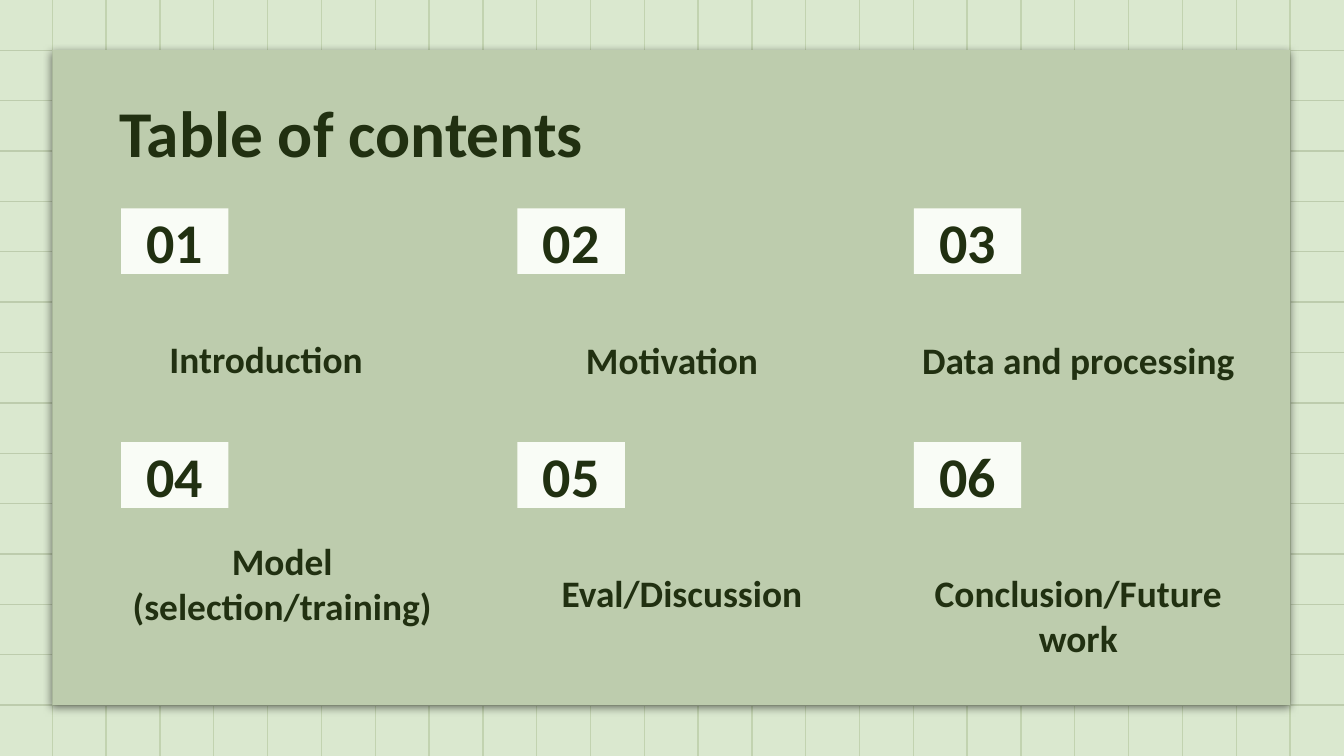
from dataclasses import dataclass

from lxml import etree
from pptx import Presentation
from pptx.dml.color import RGBColor
from pptx.enum.shapes import MSO_CONNECTOR, MSO_SHAPE
from pptx.enum.text import MSO_ANCHOR, PP_ALIGN
from pptx.oxml import parse_xml
from pptx.oxml.ns import nsdecls, qn
from pptx.util import Cm, Pt

STRAIGHT = MSO_CONNECTOR.STRAIGHT
RECTANGLE = MSO_SHAPE.RECTANGLE
ROUNDED = MSO_SHAPE.ROUNDED_RECTANGLE
TOP, MIDDLE = MSO_ANCHOR.TOP, MSO_ANCHOR.MIDDLE
LEFT, CENTER = PP_ALIGN.LEFT, PP_ALIGN.CENTER


@dataclass(frozen=True)
class Theme:
    background: str = "DAE8CF"
    column_line: str = "C2D3B0"
    row_line: str = "BDCCAD"
    panel: str = "BDCCAD"
    badge: str = "F9FCF6"
    ink: str = "213011"
    font: str = "Calibri"
    title_size: int = 35
    number_size: int = 30
    topic_size: int = 20
    line_width: float = 0.75


@dataclass(frozen=True)
class Area:
    """A rectangle in centimetres."""
    left: float
    top: float
    width: float
    height: float

    def lengths(self):
        return Cm(self.left), Cm(self.top), Cm(self.width), Cm(self.height)


@dataclass(frozen=True)
class Topic:
    text: str
    area: Area
    top_inset: float = 0.25
    bottom_inset: float = 0.25


THEME = Theme()
SLIDE_WIDTH, SLIDE_HEIGHT = 25.4, 14.29
PANEL = Area(0.99, 0.95, 23.39, 12.38)
GRID_COLUMNS, GRID_ROWS = 23, 13
ROW_OVERHANG = 0.06
TITLE = Area(2.01, 1.5, 21.41, 1.6)
BADGE = Area(2.29, 3.94, 2.03, 1.24)
BADGE_STEP_X, BADGE_STEP_Y = 7.49, 4.42
TOPICS_PER_ROW = 3
TOPICS = [
    Topic("Introduction", Area(1.83, 5.49, 6.4, 2.57)),
    Topic("Motivation", Area(9.5, 5.51, 6.4, 2.57)),
    Topic("Data and processing", Area(16.99, 5.51, 6.78, 2.57)),
    Topic("Model (selection/training)", Area(1.83, 9.73, 7.01, 2.57)),
    Topic("Eval/Discussion", Area(9.5, 9.91, 6.78, 2.57)),
    # Uneven insets set this topic half a line lower in its box
    Topic("Conclusion/Future work", Area(16.99, 9.91, 6.78, 2.57), 0.85, 0),
]


def color(value: str) -> RGBColor:
    return RGBColor.from_string(value)


def add_line(slide, x1: float, y1: float, x2: float, y2: float, tint: str) -> None:
    line = slide.shapes.add_connector(STRAIGHT, Cm(x1), Cm(y1), Cm(x2), Cm(y2))
    line.line.color.rgb = color(tint)
    line.line.width = Pt(THEME.line_width)
    etree.SubElement(line._element.spPr, qn("a:effectLst"))


def add_block(slide, kind: int, area: Area, fill: str):
    block = slide.shapes.add_shape(kind, *area.lengths())
    block.shadow.inherit = False
    block.fill.solid()
    block.fill.fore_color.rgb = color(fill)
    block.line.fill.background()
    return block


def write(shape, text: str, size: int, align=CENTER, anchor=MIDDLE,
          top_inset: float = 0.25, bottom_inset: float = 0.25) -> None:
    frame = shape.text_frame
    frame.text = text
    frame.word_wrap = True
    frame.vertical_anchor = anchor
    frame.margin_left = frame.margin_right = Cm(0.25)
    frame.margin_top, frame.margin_bottom = Cm(top_inset), Cm(bottom_inset)
    para = frame.paragraphs[0]
    para.alignment = align
    font = para.runs[0].font
    font.name, font.size, font.bold = THEME.font, Pt(size), True
    font.color.rgb = color(THEME.ink)


def add_grid(slide) -> None:
    for column in range(GRID_COLUMNS + 1):
        x = PANEL.left + column * PANEL.width / GRID_COLUMNS
        add_line(slide, x, 0, x, SLIDE_HEIGHT, THEME.column_line)
    for row in range(GRID_ROWS + 1):
        y = PANEL.top + row * PANEL.height / GRID_ROWS
        add_line(slide, -ROW_OVERHANG, y, SLIDE_WIDTH + ROW_OVERHANG, y, THEME.row_line)


def add_panel(slide) -> None:
    panel = add_block(slide, ROUNDED, PANEL, THEME.panel)
    panel.adjustments[0] = 0
    effects = panel._element.spPr.find(qn("a:effectLst"))
    effects.append(parse_xml(
        f'<a:outerShdw {nsdecls("a")} blurRad="{Pt(4.5)}" dist="{Pt(1.5)}" '
        'dir="5400000" algn="bl" rotWithShape="0">'
        '<a:srgbClr val="000000"><a:alpha val="50000"/></a:srgbClr></a:outerShdw>'))


def add_topic(slide, index: int, topic: Topic) -> None:
    row, column = divmod(index, TOPICS_PER_ROW)
    area = Area(BADGE.left + column * BADGE_STEP_X, BADGE.top + row * BADGE_STEP_Y,
                BADGE.width, BADGE.height)
    badge = add_block(slide, RECTANGLE, area, THEME.badge)
    write(badge, f"{index + 1:02d}", THEME.number_size)
    box = slide.shapes.add_textbox(*topic.area.lengths())
    write(box, topic.text, THEME.topic_size,
          top_inset=topic.top_inset, bottom_inset=topic.bottom_inset)


def main() -> None:
    deck = Presentation()
    deck.slide_width, deck.slide_height = Cm(SLIDE_WIDTH), Cm(SLIDE_HEIGHT)
    slide = deck.slides.add_slide(deck.slide_layouts[6])

    # Background, grid and panel
    slide.background.fill.solid()
    slide.background.fill.fore_color.rgb = color(THEME.background)
    add_grid(slide)
    add_panel(slide)

    # Title and numbered topics
    title = slide.shapes.add_textbox(*TITLE.lengths())
    write(title, "Table of contents", THEME.title_size, LEFT, TOP)
    for index, topic in enumerate(TOPICS):
        add_topic(slide, index, topic)

    deck.save("out.pptx")


if __name__ == "__main__":
    main()
